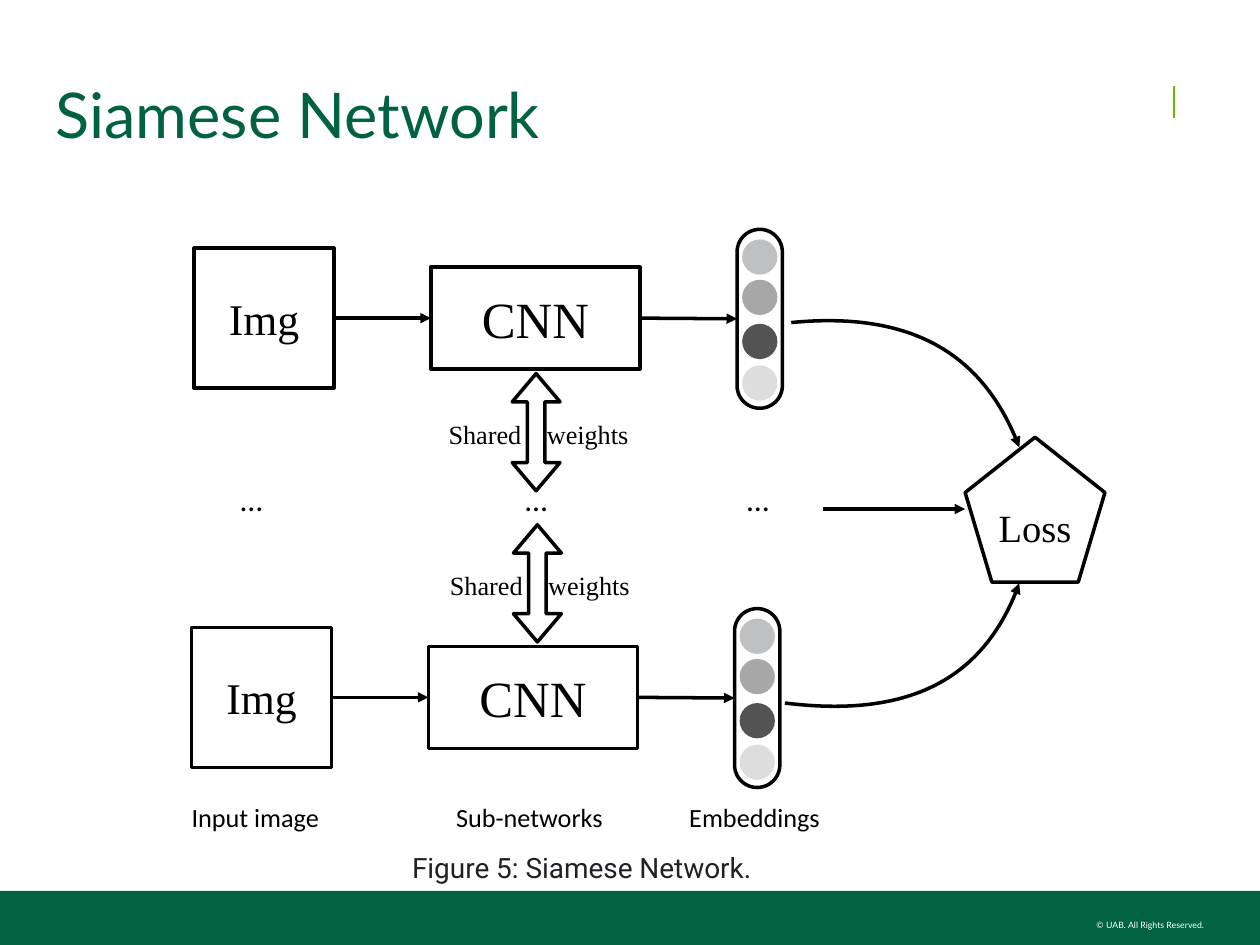
from lxml import etree
from pptx import Presentation
from pptx.dml.color import RGBColor
from pptx.enum.shapes import MSO_CONNECTOR, MSO_SHAPE as SHAPE
from pptx.enum.text import MSO_ANCHOR as ANCHOR, PP_ALIGN as ALIGN
from pptx.oxml.ns import qn
from pptx.util import Inches, Pt

GREEN, BLACK, WHITE = "006241", "000000", "FFFFFF"
SERIF = "Times New Roman"
EMBEDDING_DOTS = [(0.08, "BFC0C2"), (0.4, "A7A7A7"), (0.75, "535353"), (1.08, "DDDDDD")]


def color(hex_value):
    return RGBColor.from_string(hex_value)


def set_line(sp, hex_value=BLACK, width=2):
    sp.line.color.rgb = color(hex_value)
    sp.line.width = Pt(width)


def write(sp, text, size, font, hex_value=BLACK, align=ALIGN.LEFT,
          anchor=ANCHOR.TOP, inset=0.05, wrap=False):
    tf = sp.text_frame
    tf.word_wrap = wrap
    tf.vertical_anchor = anchor
    tf.margin_left = tf.margin_right = tf.margin_top = tf.margin_bottom = Inches(inset)
    p = tf.paragraphs[0]
    p.alignment = align
    r = p.add_run()
    r.text = text
    r.font.size, r.font.name = Pt(size), font
    r.font.color.rgb = color(hex_value)
    return p


def add_text(s, box, text, size, font, **style):
    sp = s.shapes.add_textbox(*map(Inches, box))
    return write(sp, text, size, font, **style)


def add_box(s, kind, box, fill=WHITE, outlined=True):
    sp = s.shapes.add_shape(kind, *map(Inches, box))
    sp.shadow.inherit = False
    sp.fill.solid()
    sp.fill.fore_color.rgb = color(fill)
    if outlined:
        set_line(sp)
    else:
        sp.line.fill.background()
    return sp


def add_node(s, kind, box, text, size):
    sp = add_box(s, kind, box)
    write(sp, text, size, SERIF, align=ALIGN.CENTER, anchor=ANCHOR.MIDDLE)
    return sp


def add_arrowhead(sp):
    etree.SubElement(sp.line._get_or_add_ln(), qn("a:tailEnd"), type="triangle")


def add_line(s, start, end, hex_value=BLACK, width=2):
    line = s.shapes.add_connector(MSO_CONNECTOR.STRAIGHT, *map(Inches, start + end))
    set_line(line, hex_value, width)
    etree.SubElement(line._element.spPr, qn("a:effectLst"))
    return line


def join(s, left_box, right_box):
    """Arrow from the right side of one box to the left side of the next."""
    arrow = add_line(s, (0, 0), (1, 1))
    arrow.begin_connect(left_box, 3)
    arrow.end_connect(right_box, 1)
    add_arrowhead(arrow)


def add_curved_arrow(s, start, control_1, control_2, end):
    """Cubic Bezier: the three segments after the start become one curve."""
    builder = s.shapes.build_freeform(*map(Inches, start), scale=1.0)
    points = [tuple(map(Inches, pt)) for pt in (control_1, control_2, end)]
    builder.add_line_segments(points, close=False)
    sp = builder.convert_to_shape()
    outline = next(sp._element.iter(qn("a:path")))
    segments = outline.findall(qn("a:lnTo"))
    curve = etree.SubElement(outline, qn("a:cubicBezTo"))
    for segment in segments:
        curve.append(segment[0])
        outline.remove(segment)
    sp.shadow.inherit = False
    sp.fill.background()
    set_line(sp)
    add_arrowhead(sp)


def add_embedding(s, left, top):
    sp = add_box(s, SHAPE.ROUNDED_RECTANGLE, (left, top, 0.36, 1.42))
    sp.adjustments[0] = 0.5
    for offset, shade in EMBEDDING_DOTS:
        add_box(s, SHAPE.OVAL, (left + 0.04, top + offset, 0.28, 0.28), shade, outlined=False)
    return sp


def add_branch(s, left, top):
    """One image, its sub-network and its embedding."""
    img = add_node(s, SHAPE.RECTANGLE, (left, top + 0.15, 1.11, 1.11), "Img", 25)
    cnn = add_node(s, SHAPE.RECTANGLE, (left + 1.88, top + 0.3, 1.66, 0.81), "CNN", 29)
    embedding = add_embedding(s, left + 4.31, top)
    join(s, img, cnn)
    join(s, cnn, embedding)


def add_shared_weights(s, left, top):
    sp = add_box(s, SHAPE.LEFT_RIGHT_ARROW, (left + 0.28, top - 0.03, 0.93, 0.38))
    sp.rotation = 270
    sp.adjustments[0], sp.adjustments[1] = 0.366, 0.59
    p = add_text(s, (left, top, 1.55, 0.35), "Shared\tweights", 15, SERIF)
    tabs = etree.SubElement(p._p.get_or_add_pPr(), qn("a:tabLst"))
    etree.SubElement(tabs, qn("a:tab"), pos=str(Inches(0.78)), algn="l")


def add_loss(s, left, top):
    add_node(s, SHAPE.REGULAR_PENTAGON, (left, top, 1.11, 1.15), "Loss", 22)
    add_arrowhead(add_line(s, (left - 1.13, 4.04), (left, 4.04)))
    add_curved_arrow(s, (6.28, 2.56), (7.21, 2.47), (7.81, 2.81), (8.09, 3.55))
    add_curved_arrow(s, (6.23, 5.58), (7.2, 5.7), (7.82, 5.38), (8.09, 4.63))


def add_captions(s):
    for left in (1.86, 4.12, 5.88):
        add_text(s, (left, 3.76, 0.3, 0.39), "…", 18, "Calibri")
    for left, width, text in [(1.47, 1.22, "Input image"), (3.57, 1.37, "Sub-networks"),
                              (5.42, 1.22, "Embeddings")]:
        add_text(s, (left, 6.31, width, 0.34), text, 15, "Calibri")
    add_text(s, (3.22, 6.7, 3.22, 0.36), "Figure 5: Siamese Network.", 16, "Roboto",
             hex_value="202124", wrap=True)


def add_frame(s):
    """Title, accent line and footer band."""
    add_line(s, (9.32, 0.68), (9.32, 0.94), "70B207", 1)
    add_box(s, SHAPE.RECTANGLE, (0, 7.07, 10, 0.43), GREEN, outlined=False)
    add_text(s, (8.7, 7.3, 0.86, 0.14), "© UAB. All Rights Reserved.", 5, "Lato",
             hex_value=WHITE, align=ALIGN.RIGHT, inset=0)
    title = add_text(s, (0.44, 0.52, 8.72, 0.84), "Siamese Network", 36, "Lato",
                     hex_value=GREEN, anchor=ANCHOR.MIDDLE, inset=0, wrap=True)
    title.line_spacing = 0.9


def main():
    prs = Presentation()
    prs.slide_width, prs.slide_height = Inches(10), Inches(7.5)
    s = prs.slides.add_slide(prs.slide_layouts[6])
    add_frame(s)
    add_branch(s, 1.54, 1.82)
    add_branch(s, 1.52, 4.83)
    add_shared_weights(s, 3.51, 3.27)
    add_shared_weights(s, 3.52, 4.47)
    add_loss(s, 7.66, 3.47)
    add_captions(s)
    prs.save("out.pptx")


if __name__ == "__main__":
    main()
